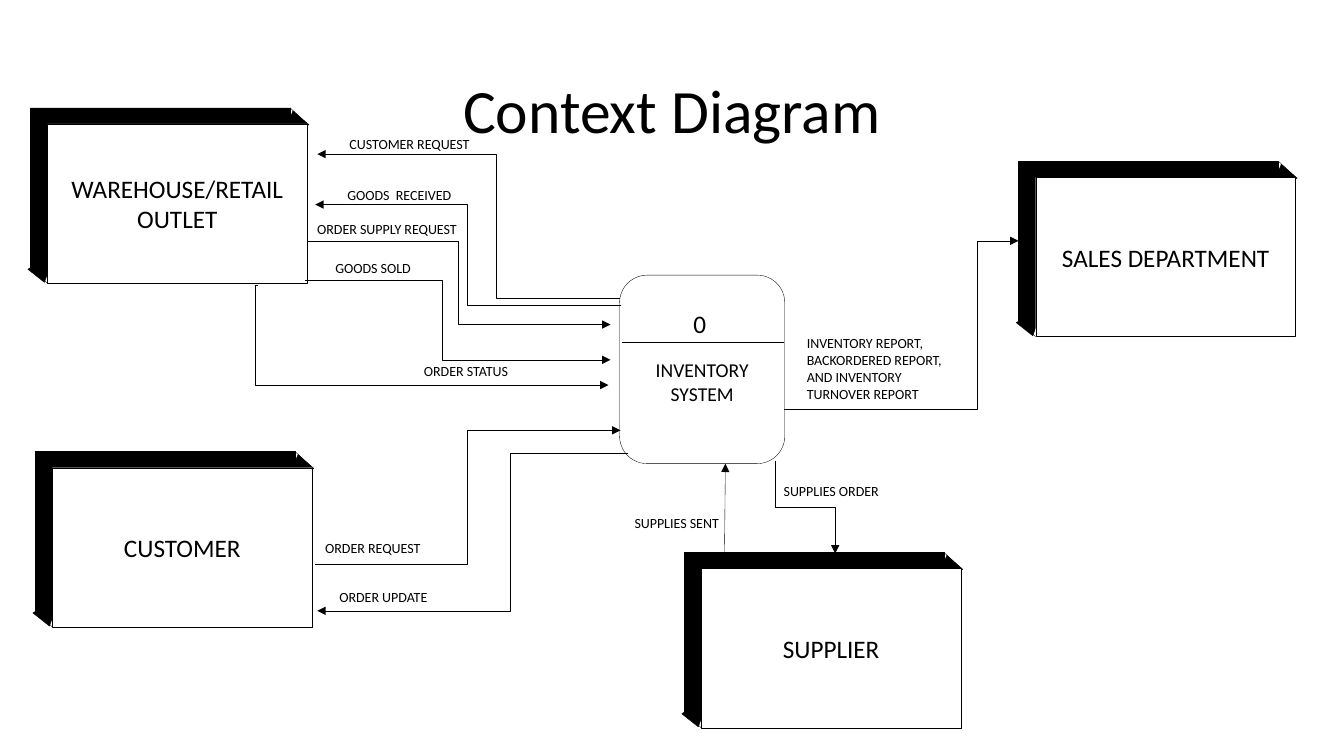
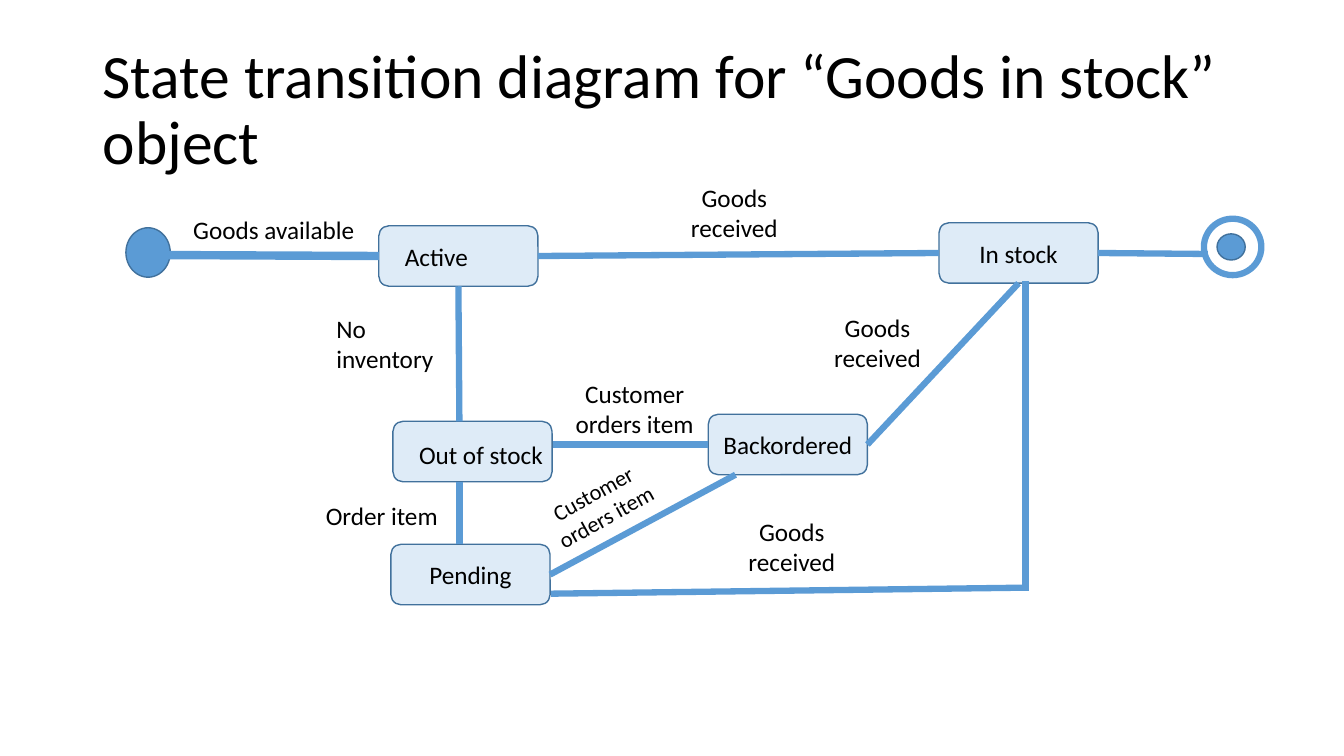
"""Build a context diagram slide and a state transition diagram slide."""
from dataclasses import dataclass

from lxml.etree import SubElement
from pptx import Presentation
from pptx.dml.color import RGBColor
from pptx.enum.shapes import MSO_CONNECTOR, MSO_SHAPE
from pptx.enum.text import MSO_ANCHOR, PP_ALIGN
from pptx.oxml.ns import qn
from pptx.util import Inches, Pt


@dataclass(frozen=True)
class Theme:
    font: str = "Calibri"
    black: str = "000000"
    white: str = "FFFFFF"
    blue: str = "5B9BD5"
    pale: str = "DEEBF7"
    outline: str = "41719C"
    title: int = 44
    body: int = 18
    slanted: int = 16
    system: int = 14
    flow: int = 10
    hairline: float = 0.25
    thin: float = 1
    thick: float = 4.5
    heavy: float = 6


THEME = Theme()
LEFT, CENTER = PP_ALIGN.LEFT, PP_ALIGN.CENTER
TOP, WEST, BOTTOM, EAST = range(4)

ENTITY_SIZE = (2.58, 1.58)
ENTITY_DEPTH = (0.17, 0.16)
ENTITIES = [
    ("SUPPLIER", 6.79, 5.48),
    ("SALES DEPARTMENT", 10.11, 1.6),
    ("CUSTOMER", 0.35, 4.48),
    ("WAREHOUSE/RETAIL OUTLET", 0.3, 1.07),
]
SYSTEM = (6.15, 2.73, 1.64, 1.87)
SUPPLIES_SENT = ((7.19, 5.61), (7.2, 4.6))
FLOWS = [
    ((7.78, 4.06), 9.7, (10.11, 2.39)),
    ((3.13, 5.6), 4.64, (6.16, 4.27)),
    ((3.05, 2.39), 4.55, (6.06, 3.22)),
    ((6.16, 3.03), 4.64, (3.13, 2.03)),
    ((6.15, 2.96), 4.93, (3.15, 1.53)),
    ((3.03, 2.78), 4.39, (6.06, 3.57)),
    ((6.23, 4.5), 5.06, (3.15, 6.06)),
    ((2.56, 2.83), 2.53, (6.04, 3.82)),
]
SUPPLIES_ORDER = ((7.69, 4.57), (8.29, 5.49))
FLOW_LABELS = [
    ("SUPPLIES SENT", 6.2, 5.06, 1.96, 0.27),
    ("INVENTORY REPORT, BACKORDERED REPORT, AND INVENTORY TURNOVER REPORT",
     7.91, 3.27, 1.76, 0.77),
    ("SUPPLIES ORDER", 7.68, 4.74, 1.45, 0.27),
    ("ORDER REQUEST", 3.13, 5.3, 1.3, 0.27),
    ("GOODS  RECEIVED", 3.35, 1.8, 1.54, 0.27),
    ("ORDER SUPPLY REQUEST", 3.05, 2.14, 1.66, 0.27),
    ("CUSTOMER REQUEST", 3.37, 1.3, 1.52, 0.27),
    ("GOODS SOLD", 3.23, 2.53, 1.3, 0.27),
    ("ORDER UPDATE", 3.27, 5.79, 1.3, 0.27),
    ("ORDER STATUS", 4.11, 3.55, 1.3, 0.27),
]

STATE_SIZE = (1.58, 0.6)
STATES = [
    ("Active", 3.76, 2.24, LEFT, (0.23, 0.05, 0.05, 0.05)),
    ("Backordered", 7.03, 4.11, CENTER, (0.1, 0.05, 0.1, 0.05)),
    ("Out of stock", 3.9, 4.18, LEFT, (0.23, 0.11, 0.05, 0.05)),
    ("In stock", 9.32, 2.21, CENTER, (0.1, 0.05, 0.1, 0.05)),
    ("Pending", 3.88, 5.4, CENTER, (0.1, 0.05, 0.1, 0.05)),
]
START = (1.25, 2.26, 0.44, 0.49)
FINISH_DOT = (12.08, 2.32, 0.28, 0.26)
FINISH_RING = (11.95, 2.17, 0.57, 0.56)
TRANSITIONS = [
    ((1.57, 2.53), ("Active", WEST), THEME.heavy),
    (("Active", BOTTOM), (4.56, 4.18), THEME.thick),
    (("Backordered", WEST), (5.49, 4.41), THEME.thick),
    (("Backordered", EAST), ("In stock", BOTTOM), THEME.thick),
    (("In stock", EAST), (11.99, 2.52), THEME.thick),
    (("Active", EAST), ("In stock", WEST), THEME.thick),
    ((4.56, 5.4), (4.56, 4.78), THEME.thick),
    ((10.18, 5.86), (10.18, 2.79), THEME.thick),
    (("Pending", EAST), (7.3, 4.71), THEME.thick),
    ((5.47, 5.89), (10.18, 5.83), THEME.thick),
]
TRANSITION_LABELS = [
    ("Goods available", (1.82, 2.08, 1.96, 0.4), LEFT),
    ("No inventory", (3.24, 3.06, 1.46, 0.7), LEFT),
    ("Goods received", (7.13, 5.07, 1.46, 0.7), CENTER),
    ("Goods received", (6.56, 1.76, 1.46, 0.7), CENTER),
    ("Order item", (3.06, 4.91, 1.46, 0.4), CENTER),
    ("Customer orders item", (5.57, 3.7, 1.46, 0.7), CENTER),
    ("Goods received", (7.98, 3.05, 1.46, 0.7), CENTER),
]
SLANTED_LABEL = ("Customer orders item", (5.22, 4.69, 1.46, 0.64), CENTER)


def inches(values):
    return [Inches(value) for value in values]


def write(shape, text, size, align=LEFT, anchor=MSO_ANCHOR.TOP,
          margins=(0.1, 0.05, 0.1, 0.05), spacing=None):
    frame = shape.text_frame
    frame.text = text
    frame.word_wrap = True
    frame.vertical_anchor = anchor
    (frame.margin_left, frame.margin_top,
     frame.margin_right, frame.margin_bottom) = inches(margins)
    paragraph = frame.paragraphs[0]
    paragraph.alignment = align
    paragraph.line_spacing = spacing
    font = paragraph.font
    font.name, font.size = THEME.font, Pt(size)
    font.color.rgb = RGBColor.from_string(THEME.black)


def add_label(shapes, text, box, size, align=LEFT, **style):
    label = shapes.add_textbox(*inches(box))
    write(label, text, size, align, **style)
    return label


def add_figure(shapes, preset, box, fill, line, width):
    figure = shapes.add_shape(preset, *inches(box))
    figure.shadow.inherit = False
    if fill:
        figure.fill.solid()
        figure.fill.fore_color.rgb = RGBColor.from_string(fill)
    else:
        figure.fill.background()
    figure.line.color.rgb = RGBColor.from_string(line)
    figure.line.width = Pt(width)
    return figure


def add_line(shapes, start, end, color=THEME.black, width=THEME.hairline,
             kind=MSO_CONNECTOR.STRAIGHT, arrow=False):
    line = shapes.add_connector(kind, *inches(start + end))
    line.line.color.rgb = RGBColor.from_string(color)
    line.line.width = Pt(width)
    properties = line._element.spPr
    if arrow:
        SubElement(properties.find(qn("a:ln")), qn("a:tailEnd"), type="triangle")
    SubElement(properties, qn("a:effectLst"))
    return line


def add_flow(shapes, start, turn_x, end):
    flow = add_line(shapes, start, end, kind=MSO_CONNECTOR.ELBOW, arrow=True)
    bend = round((turn_x - start[0]) / (end[0] - start[0]) * 100000)
    adjustments = flow._element.spPr.find(qn("a:prstGeom")).get_or_add_avLst()
    SubElement(adjustments, qn("a:gd"), name="adj1", fmla=f"val {bend}")


def add_vertical_flow(shapes, start, end):
    middle_x, middle_y = ((a + b) / 2 for a, b in zip(start, end))
    half_x, half_y = ((b - a) / 2 for a, b in zip(start, end))
    flow = add_line(shapes, (middle_x + half_y, middle_y - half_x),
                    (middle_x - half_y, middle_y + half_x),
                    kind=MSO_CONNECTOR.ELBOW, arrow=True)
    flow._element.spPr.find(qn("a:xfrm")).set("rot", str(270 * 60000))


def add_entity(slide, name, x, y):
    parts = slide.shapes.add_group_shape().shapes
    width, height = ENTITY_SIZE
    dx, dy = ENTITY_DEPTH
    ink = (THEME.black, THEME.black, THEME.hairline)
    add_figure(parts, MSO_SHAPE.RECTANGLE, (x, y, width, height), *ink)
    for corner_x, corner_y in ((x, y + height), (x + width, y)):
        add_line(parts, (corner_x + dx, corner_y + dy), (corner_x, corner_y))
    for left, top, angle in ((x + 0.05, y + height - 0.19, 38.3),
                             (x + width - 0.1, y + 0.06, 221.1)):
        wedge = add_figure(parts, MSO_SHAPE.ISOSCELES_TRIANGLE,
                           (left, top, 0.21, 0.31), *ink)
        wedge.rotation = angle
    front = add_figure(parts, MSO_SHAPE.RECTANGLE, (x + dx, y + dy, width, height),
                       THEME.white, THEME.black, THEME.hairline)
    write(front, name, THEME.body, CENTER, MSO_ANCHOR.MIDDLE)


def add_slide(deck, title, top, align):
    slide = deck.slides.add_slide(deck.slide_layouts[6])
    add_label(slide.shapes, title, (0.92, top, 11.5, 1.45), THEME.title, align,
              anchor=MSO_ANCHOR.MIDDLE, spacing=0.9)
    return slide


def build_context(deck):
    slide = add_slide(deck, "Context Diagram", 0.4, CENTER)
    shapes = slide.shapes
    for entity in ENTITIES:
        add_entity(slide, *entity)
    add_line(shapes, *SUPPLIES_SENT, arrow=True)
    system = add_figure(shapes, MSO_SHAPE.ROUNDED_RECTANGLE, SYSTEM,
                        THEME.white, THEME.black, THEME.hairline)
    write(system, "INVENTORY SYSTEM", THEME.system, CENTER, MSO_ANCHOR.MIDDLE,
          (0.1, 0.29, 0.1, 0.05))
    add_line(shapes, (6.17, 3.39), (7.78, 3.39))
    add_label(shapes, "0", (6.65, 3.01, 0.59, 0.4), THEME.body, CENTER)
    for flow in FLOWS:
        add_flow(shapes, *flow)
    add_vertical_flow(shapes, *SUPPLIES_ORDER)
    for text, *box in FLOW_LABELS:
        add_label(shapes, text, box, THEME.flow)


def build_states(deck):
    slide = add_slide(deck, "State transition diagram for “Goods in stock” object",
                      0.38, LEFT)
    shapes = slide.shapes
    for dot in (START, FINISH_DOT):
        add_figure(shapes, MSO_SHAPE.OVAL, dot, THEME.blue, THEME.outline, THEME.thin)
    add_figure(shapes, MSO_SHAPE.OVAL, FINISH_RING, None, THEME.blue, THEME.thick)
    states = {}
    for name, x, y, align, margins in STATES:
        states[name] = add_figure(shapes, MSO_SHAPE.ROUNDED_RECTANGLE,
                                  (x, y, *STATE_SIZE), THEME.pale, THEME.outline,
                                  THEME.thin)
        write(states[name], name, THEME.body, align, MSO_ANCHOR.MIDDLE, margins)
    for start, end, width in TRANSITIONS:
        points = [(0, 0) if point[0] in states else point for point in (start, end)]
        transition = add_line(shapes, *points, THEME.blue, width)
        for (state, side), join in ((start, transition.begin_connect),
                                    (end, transition.end_connect)):
            if state in states:
                join(states[state], side)
    for text, box, align in TRANSITION_LABELS:
        add_label(shapes, text, box, THEME.body, align)
    text, box, align = SLANTED_LABEL
    add_label(shapes, text, box, THEME.slanted, align).rotation = 331


def main():
    deck = Presentation()
    deck.slide_width, deck.slide_height = Inches(13.34), Inches(7.5)
    build_context(deck)
    build_states(deck)
    deck.save("out.pptx")


if __name__ == "__main__":
    main()
